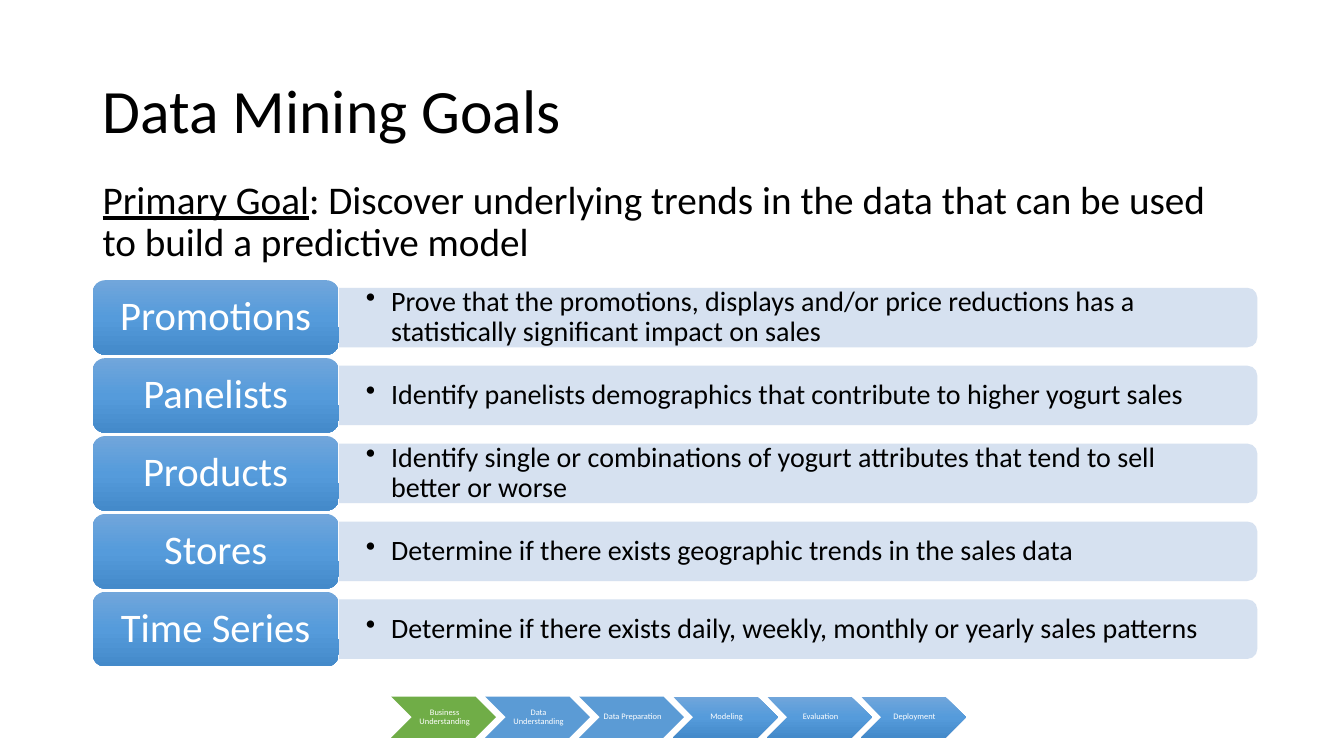
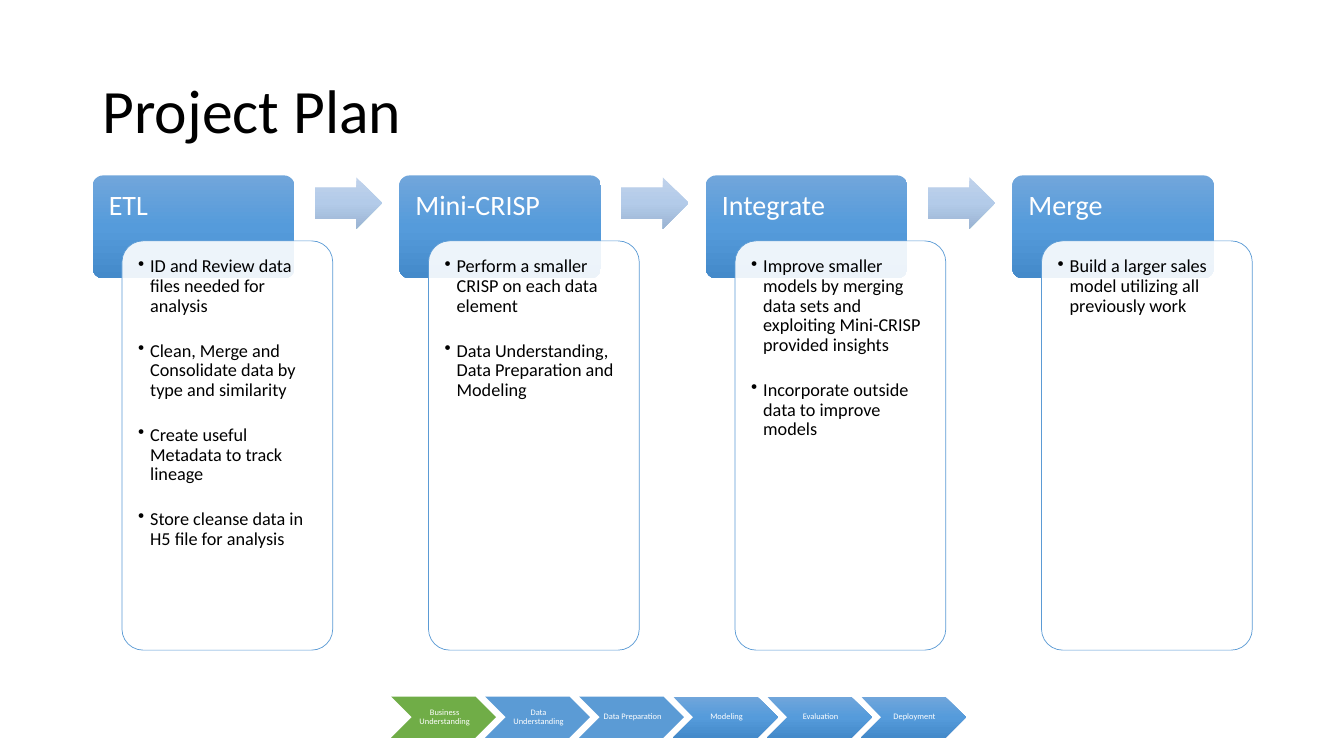
from dataclasses import dataclass

from lxml.etree import SubElement
from pptx import Presentation
from pptx.dml.color import RGBColor
from pptx.enum.shapes import MSO_SHAPE as Shape
from pptx.enum.text import MSO_ANCHOR as Anchor, PP_ALIGN as Align
from pptx.oxml.ns import qn
from pptx.util import Inches, Pt

# Content
GOALS_TITLE = "Data Mining Goals"
PRIMARY_GOAL = (
    "Primary Goal",
    ": Discover underlying trends in the data that can be used to build a predictive model",
)
GOALS = [
    ("Promotions", "Prove that the promotions, displays and/or price reductions has a "
                   "statistically significant impact on sales"),
    ("Panelists", "Identify panelists demographics that contribute to higher yogurt sales"),
    ("Products", "Identify single or combinations of yogurt attributes that tend to sell "
                 "better or worse"),
    ("Stores", "Determine if there exists geographic trends in the sales data"),
    ("Time Series", "Determine if there exists daily, weekly, monthly or yearly sales patterns"),
]
PLAN_TITLE = "Project Plan"
PLAN = [
    ("ETL", ["ID and Review data files needed for analysis",
             "Clean, Merge and Consolidate data by type and similarity",
             "Create useful Metadata to track lineage",
             "Store cleanse data in H5 file for analysis"]),
    ("Mini-CRISP", ["Perform a smaller CRISP on each data element",
                    "Data Understanding, Data Preparation and Modeling"]),
    ("Integrate", ["Improve smaller models by merging data sets and exploiting Mini-CRISP "
                   "provided insights",
                   "Incorporate outside data to improve models"]),
    ("Merge", ["Build a larger sales model utilizing all previously work"]),
]


# Theme: a fill is one colour, or three gradient stops from top to bottom
@dataclass(frozen=True)
class Theme:
    font: str = "Calibri"
    dark: str = "000000"
    light: str = "FFFFFF"
    blue: str = "5B9BD5"
    green: str = "70AD47"
    pale: str = "D2DEEF"
    blue_fade: tuple = ("71A6DB", "559BDB", "448ACA")
    pale_fade: tuple = ("C0D2EB", "B3CBE9", "9BB4D3")
    title: int = 44
    lead: int = 28
    label: int = 29
    text: int = 20
    card: int = 13
    phase: int = 6
    line: float = 0.5


THEME = Theme()
PHASES = [
    ("Business Understanding", THEME.green),
    ("Data Understanding", THEME.blue),
    ("Data Preparation", THEME.blue),
    ("Modeling", THEME.blue_fade),
    ("Evaluation", THEME.blue_fade),
    ("Deployment", THEME.blue_fade),
]
LEFT, WIDTH = 0.92, 11.5


# Drawing helpers
def paint(shape, fill, opacity=100):
    if isinstance(fill, tuple):
        shape.fill.gradient()
        shape.fill.gradient_angle = 270
        stops = shape._element.spPr.find(qn("a:gradFill")).find(qn("a:gsLst"))
        for stop in list(stops):
            stops.remove(stop)
        for position, color in zip((0, 50000, 100000), fill):
            stop = SubElement(stops, qn("a:gs"), pos=str(position))
            SubElement(stop, qn("a:srgbClr"), val=color)
        return
    shape.fill.solid()
    shape.fill.fore_color.rgb = RGBColor.from_string(fill)
    if opacity < 100:
        color = shape._element.spPr.find(qn("a:solidFill"))[0]
        SubElement(color, qn("a:alpha"), val=str(opacity * 1000))


def add_block(page, kind, place, fill, opacity=100, line=None, corner=None):
    shape = page.shapes.add_shape(kind, *map(Inches, place))
    shape.shadow.inherit = False
    paint(shape, fill, opacity)
    if line:
        shape.line.color.rgb = RGBColor.from_string(line)
        shape.line.width = Pt(THEME.line)
    else:
        shape.line.fill.background()
    if corner is not None:
        shape.adjustments[0] = corner
    return shape


def write(shape, lines, size, color=THEME.dark, align=Align.LEFT, anchor=Anchor.MIDDLE,
          insets=(0.1, 0.05, 0.1, 0.05), indent=0, gap=0):
    """Each line is a text or a tuple of spans; an indent makes bullets."""
    frame = shape.text_frame
    frame.word_wrap = True
    frame.vertical_anchor = anchor
    (frame.margin_left, frame.margin_top,
     frame.margin_right, frame.margin_bottom) = map(Inches, insets)
    for number, line in enumerate(lines):
        para = frame.add_paragraph() if number else frame.paragraphs[0]
        para.alignment = align
        para.line_spacing = 0.9
        para.space_after = Pt(gap if number < len(lines) - 1 else 0)
        for text in (line if isinstance(line, tuple) else (line,)):
            span = para.add_run()
            span.text = text
            span.font.name = THEME.font
            span.font.size = Pt(size)
            span.font.color.rgb = RGBColor.from_string(color)
        if indent:
            properties = para._p.get_or_add_pPr()
            properties.set("marL", str(Inches(indent)))
            properties.set("indent", str(-Inches(indent)))
            SubElement(properties, qn("a:buChar"), char="•")
    return frame


def add_text(page, place, lines, size, **style):
    return write(page.shapes.add_textbox(*map(Inches, place)), lines, size, **style)


# Shared by both slides: title and phase strip
def add_page(deck, title):
    page = deck.slides.add_slide(deck.slide_layouts[6])
    add_text(page, (LEFT, 0.4, WIDTH, 1.45), [title], THEME.title)
    return page


def add_phases(page):
    for column, (name, fill) in enumerate(PHASES):
        place = (3.88 + column * 0.932, 6.91, 1.04, 0.41)
        chevron = add_block(page, Shape.CHEVRON, place, fill)
        write(chevron, [name], THEME.phase, THEME.light, Align.CENTER,
              insets=(0.03, 0.01, 0.01, 0.01))


deck = Presentation()
deck.slide_width, deck.slide_height = Inches(13.33), Inches(7.5)

# Slide 1: one labelled bar per goal
page = add_page(deck, GOALS_TITLE)
lead = add_text(page, (LEFT, 1.74, WIDTH, 1), [PRIMARY_GOAL], THEME.lead, anchor=Anchor.TOP)
lead.paragraphs[0].runs[0].font.underline = True

label_width, label_height = 2.44, 0.74
bar_left, bar_width, bar_height = LEFT + label_width, 9.11, 0.59
for row, (name, goal) in enumerate(GOALS):
    top = 2.78 + row * 0.773
    middle = top + label_height / 2
    # The bar is turned upright, so its box is centred on the row
    upright = (bar_left + (bar_width - bar_height) / 2, middle - bar_width / 2,
               bar_height, bar_width)
    bar = add_block(page, Shape.ROUND_2_SAME_RECTANGLE, upright, THEME.pale, 90)
    bar.rotation = 90
    add_text(page, (bar_left, middle - 0.27, 9.08, 0.54), [goal], THEME.text,
             insets=(0.27, 0, 0.27, 0), indent=0.25)
    label = add_block(page, Shape.ROUNDED_RECTANGLE, (LEFT, top, label_width, label_height),
                      THEME.blue_fade)
    write(label, [name], THEME.label, THEME.light, Align.CENTER,
          insets=(0.12, 0.06, 0.12, 0.06))
add_phases(page)

# Slide 2: steps joined by arrows, each with a card of tasks
page = add_page(deck, PLAN_TITLE)
for column, (name, tasks) in enumerate(PLAN):
    left = LEFT + column * 3.04
    header = add_block(page, Shape.ROUNDED_RECTANGLE, (left, 1.74, 2, 1.02),
                       THEME.blue_fade, corner=0.1)
    write(header, [name], THEME.text, THEME.light, anchor=Anchor.TOP,
          insets=(0.13, 0.13, 0.13, 0.08))
    card = add_block(page, Shape.ROUNDED_RECTANGLE, (left + 0.29, 2.39, 2.09, 4.06),
                     THEME.light, 90, line=THEME.blue, corner=0.1)
    write(card, tasks, THEME.card, anchor=Anchor.TOP, insets=(0.1,) * 4,
          indent=0.12, gap=18)
    if column < len(PLAN) - 1:
        add_block(page, Shape.RIGHT_ARROW, (left + 2.2, 1.76, 0.67, 0.51),
                  THEME.pale_fade, corner=0.6)
add_phases(page)

deck.save("out.pptx")
